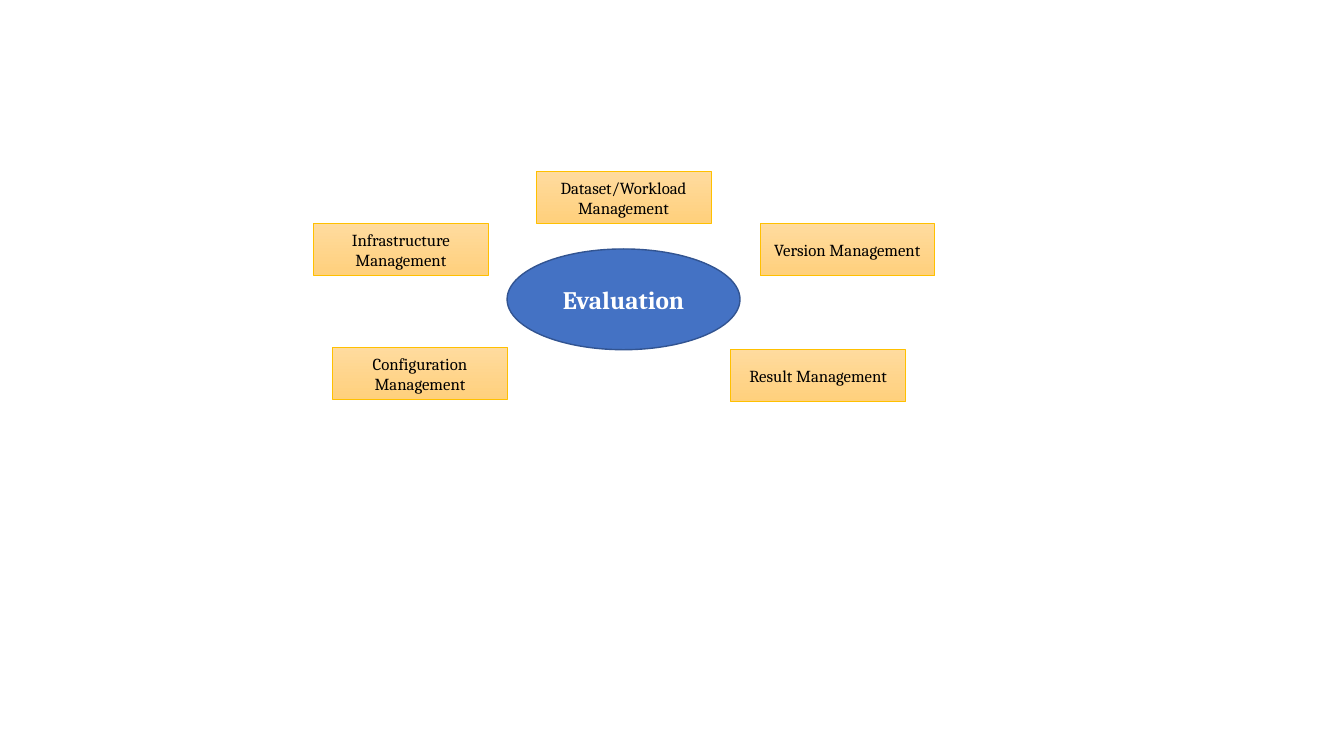
from pptx import Presentation
from pptx.dml.color import RGBColor
from pptx.enum.shapes import MSO_SHAPE
from pptx.enum.text import MSO_ANCHOR, PP_ALIGN
from pptx.util import Inches, Pt

THEME = {
    "font": "Cambria",
    "hub": {"fill": ["4472C4"], "line": "325491", "width": 1,
            "text": "FFFFFF", "size": 18, "bold": True},
    "task": {"fill": ["FFDB9E", "FFD07C"], "line": "FFC000", "width": 0.5,
             "text": "000000", "size": 12, "bold": False},
}

deck = Presentation()
deck.slide_width = Inches(13.33)
deck.slide_height = Inches(7.5)
slide = deck.slides.add_slide(deck.slide_layouts[6])


def add_node(kind, text, left, top, width, height, style):
    """Add a labelled shape; lengths are percentages of the slide's size."""
    across, down = deck.slide_width / 100, deck.slide_height / 100
    node = slide.shapes.add_shape(kind, round(left * across), round(top * down),
                                  round(width * across), round(height * down))
    node.shadow.inherit = False
    if len(style["fill"]) == 1:
        node.fill.solid()
        node.fill.fore_color.rgb = RGBColor.from_string(style["fill"][0])
    else:
        node.fill.gradient()
        node.fill.gradient_angle = 270
        for stop, shade in zip(node.fill.gradient_stops, style["fill"]):
            stop.color.rgb = RGBColor.from_string(shade)
    node.line.color.rgb = RGBColor.from_string(style["line"])
    node.line.width = Pt(style["width"])

    frame = node.text_frame
    frame.text = text
    frame.word_wrap = True
    frame.vertical_anchor = MSO_ANCHOR.MIDDLE
    label = frame.paragraphs[0]
    label.alignment = PP_ALIGN.CENTER
    font = label.runs[0].font
    font.name = THEME["font"]
    font.size = Pt(style["size"])
    font.bold = style["bold"]
    font.color.rgb = RGBColor.from_string(style["text"])


add_node(MSO_SHAPE.OVAL, "Evaluation", 37.73, 32.93, 17.33, 13.33, THEME["hub"])

tasks = [
    ("Dataset/Workload Management", 39.9, 22.67),
    ("Infrastructure Management", 23.33, 29.6),
    ("Configuration Management", 24.75, 46),
    ("Version Management", 56.55, 29.6),
    ("Result Management", 54.38, 46.27),
]
for name, left, top in tasks:
    add_node(MSO_SHAPE.RECTANGLE, name, left, top, 13, 6.9, THEME["task"])

deck.save("out.pptx")
